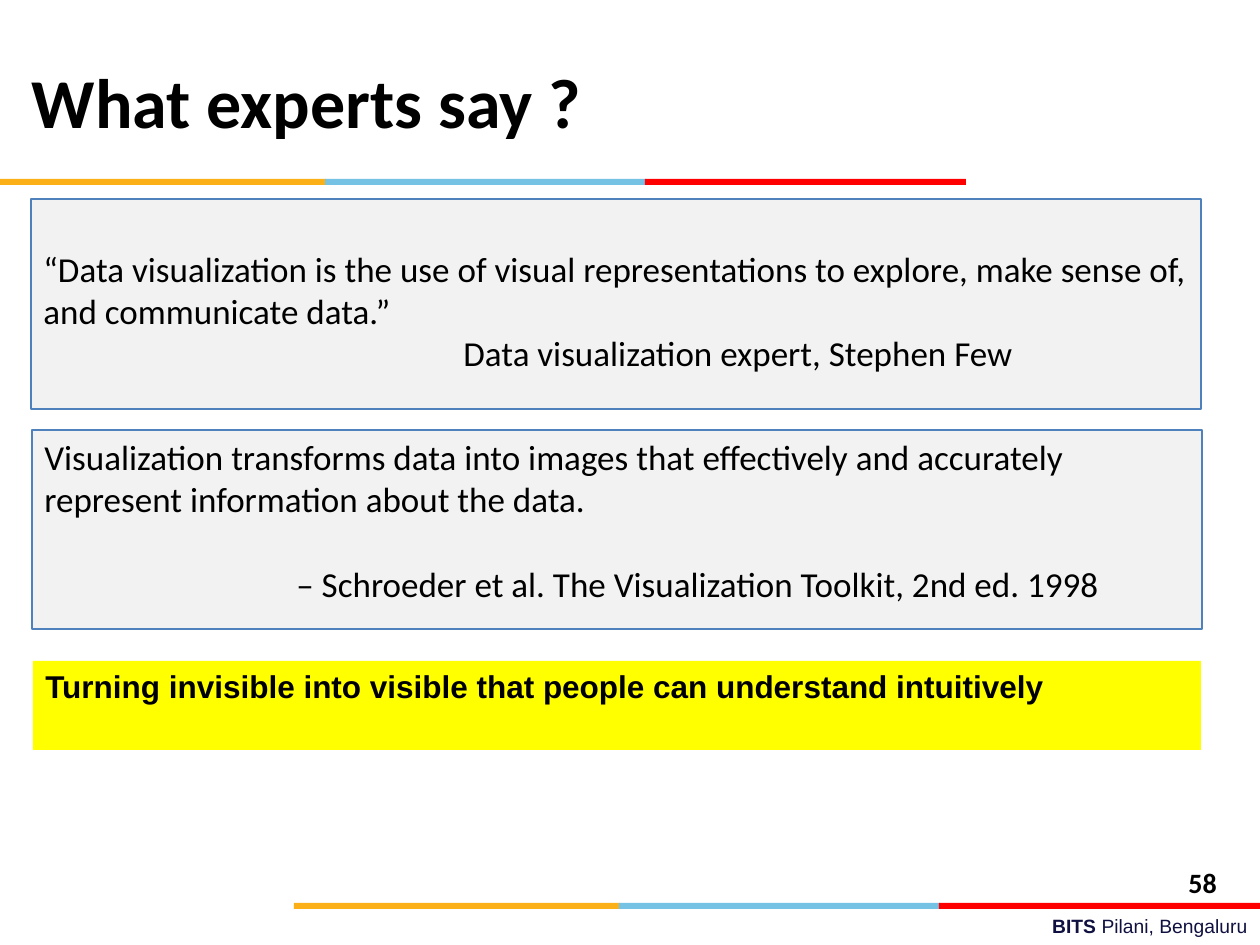
from pptx import Presentation
from pptx.dml.color import RGBColor
from pptx.enum.shapes import MSO_SHAPE
from pptx.enum.text import MSO_ANCHOR, PP_ALIGN
from pptx.util import Emu, Pt

SCALE = 914400 / 126  # EMU per px


def px(*lengths):
    return [Emu(round(length * SCALE)) for length in lengths]


def color(font_or_fill, value):
    target = font_or_fill.color if hasattr(font_or_fill, "color") else font_or_fill.fore_color
    target.rgb = RGBColor.from_string(value)


deck = Presentation()
deck.slide_width, deck.slide_height = px(1260, 945)
page = deck.slides.add_slide(deck.slide_layouts[5])

# Title
title = page.shapes.title
title.left, title.top, title.width, title.height = px(32, 42, 903, 117)
frame = title.text_frame
frame.margin_left = frame.margin_right = frame.margin_top = frame.margin_bottom = 0
frame.vertical_anchor = MSO_ANCHOR.MIDDLE
frame.text = "What experts say ?"
para = frame.paragraphs[0]
para.alignment = PP_ALIGN.LEFT
para.font.name, para.font.size, para.font.bold = "Calibri", Pt(40), True
color(para.font, "000000")

# Three-colour rules below the title and above the footer
for rule_left, rule_top in ((0, 179), (294, 903)):
    for offset, width, fill in ((0, 326, "FCB017"), (325, 321, "76C2E5"), (645, 321, "FF0000")):
        bar = page.shapes.add_shape(MSO_SHAPE.RECTANGLE, *px(rule_left + offset, rule_top, width, 6))
        bar.shadow.inherit = False
        bar.fill.solid()
        color(bar.fill, fill)
        bar.line.fill.background()

# Quotation panels: place, fill, outline, top inset, font, paragraphs (text, indent, space before)
panels = [
    ((31, 199, 1170, 210), "F2F2F2", "4F81BD", 48, ("Calibri", 20, False), [
        ("“Data visualization is the use of visual representations to explore, "
         "make sense of, and communicate data.”", 0, 0),
        ("Data visualization expert, Stephen Few", 420, 0)]),
    ((32, 430, 1170, 199), "F2F2F2", "4F81BD", 6, ("Calibri", 20, False), [
        ("Visualization transforms data into images that effectively and accurately "
         "represent information about the data.", 0, 0),
        ("– Schroeder et al. The Visualization Toolkit, 2nd ed. 1998", 252, 24)]),
    ((33, 661, 1168, 89), "FFFF00", None, 6, ("Arial", 18, True), [
        ("Turning invisible into visible that people can understand intuitively", 0, 0)]),
]
for place, fill, outline, inset, (font_name, size, bold), lines in panels:
    panel = page.shapes.add_shape(MSO_SHAPE.RECTANGLE, *px(*place))
    panel.shadow.inherit = False
    panel.fill.solid()
    color(panel.fill, fill)
    if outline:
        color(panel.line, outline)
        panel.line.width = Pt(0.75)
    else:
        panel.line.fill.background()
    frame = panel.text_frame
    frame.word_wrap = True
    frame.vertical_anchor = MSO_ANCHOR.TOP
    frame.margin_top = px(inset)[0]
    for index, (text, indent, space) in enumerate(lines):
        para = frame.paragraphs[0] if index == 0 else frame.add_paragraph()
        para.text = text
        para.alignment = PP_ALIGN.LEFT
        if indent:
            para._p.get_or_add_pPr().set("marL", str(px(indent)[0]))
        if space:
            para.space_before = Pt(space)
        para.font.name, para.font.size, para.font.bold = font_name, Pt(size), bold
        color(para.font, "000000")

# Slide number
number = page.shapes.add_textbox(*px(1176, 859, 84, 40))
number.text_frame.word_wrap = True
para = number.text_frame.paragraphs[0]
para.text = "58"
para.font.name, para.font.size, para.font.bold = "Calibri", Pt(16), True
color(para.font, "000000")

# Footer
footer = page.shapes.add_textbox(*px(451, 908, 809, 36))
footer.text_frame.word_wrap = True
para = footer.text_frame.paragraphs[0]
para.alignment = PP_ALIGN.RIGHT
para.font.name, para.font.size = "Arial", Pt(11)
color(para.font, "101141")
for text, bold in (("BITS ", True), ("Pilani, Bengaluru", False)):
    span = para.add_run()
    span.text = text
    span.font.bold = bold

deck.save("out.pptx")
